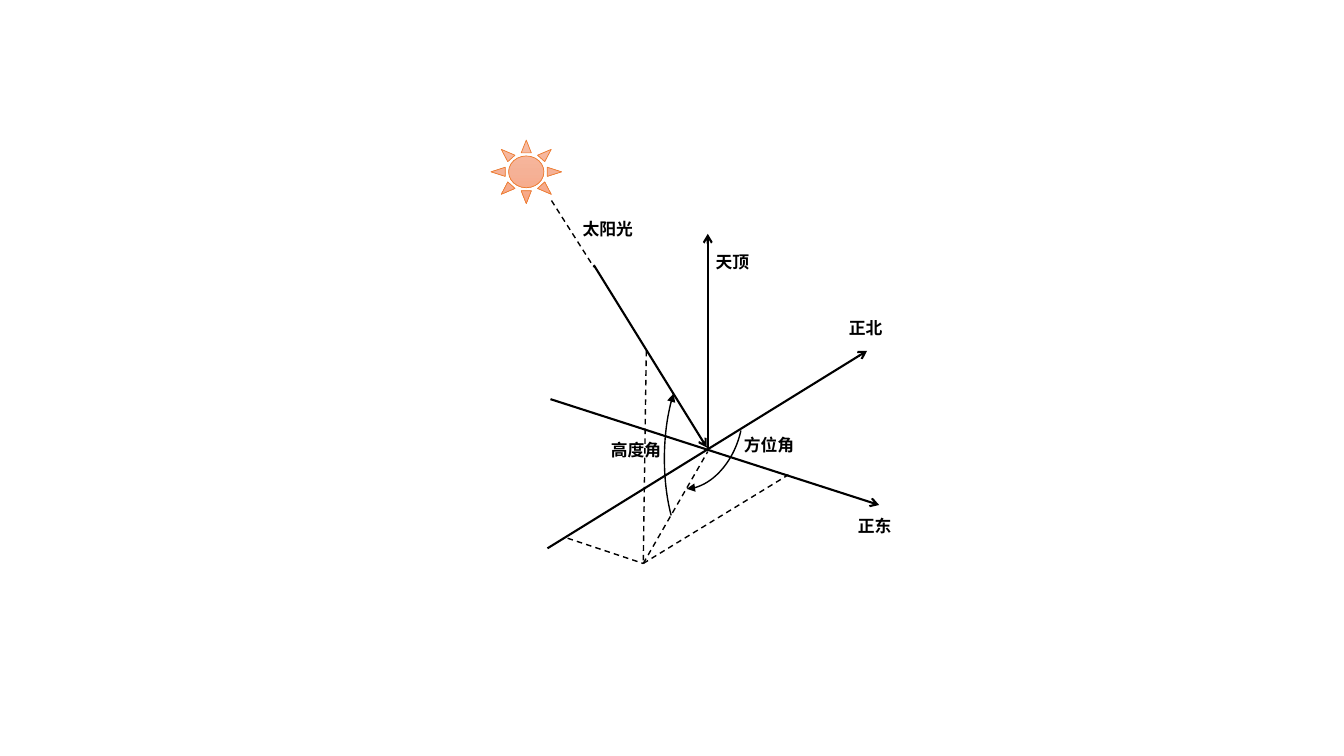
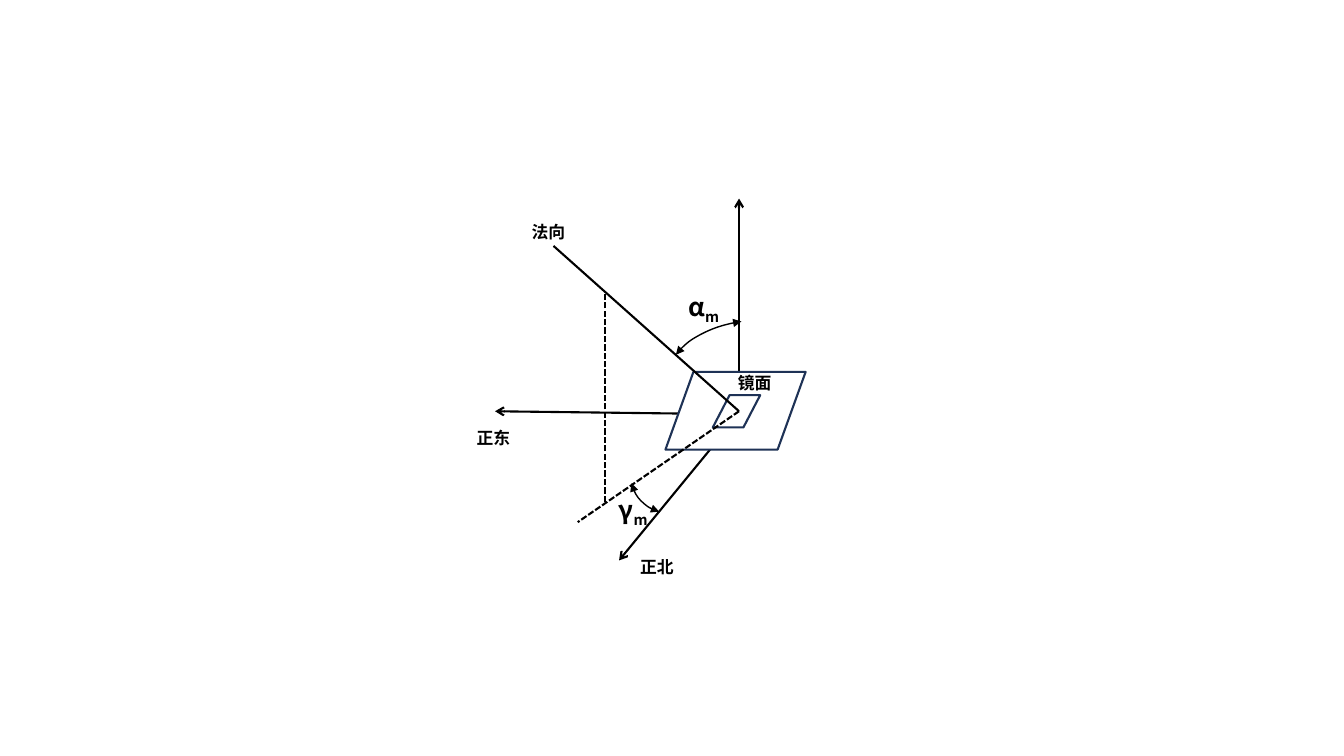
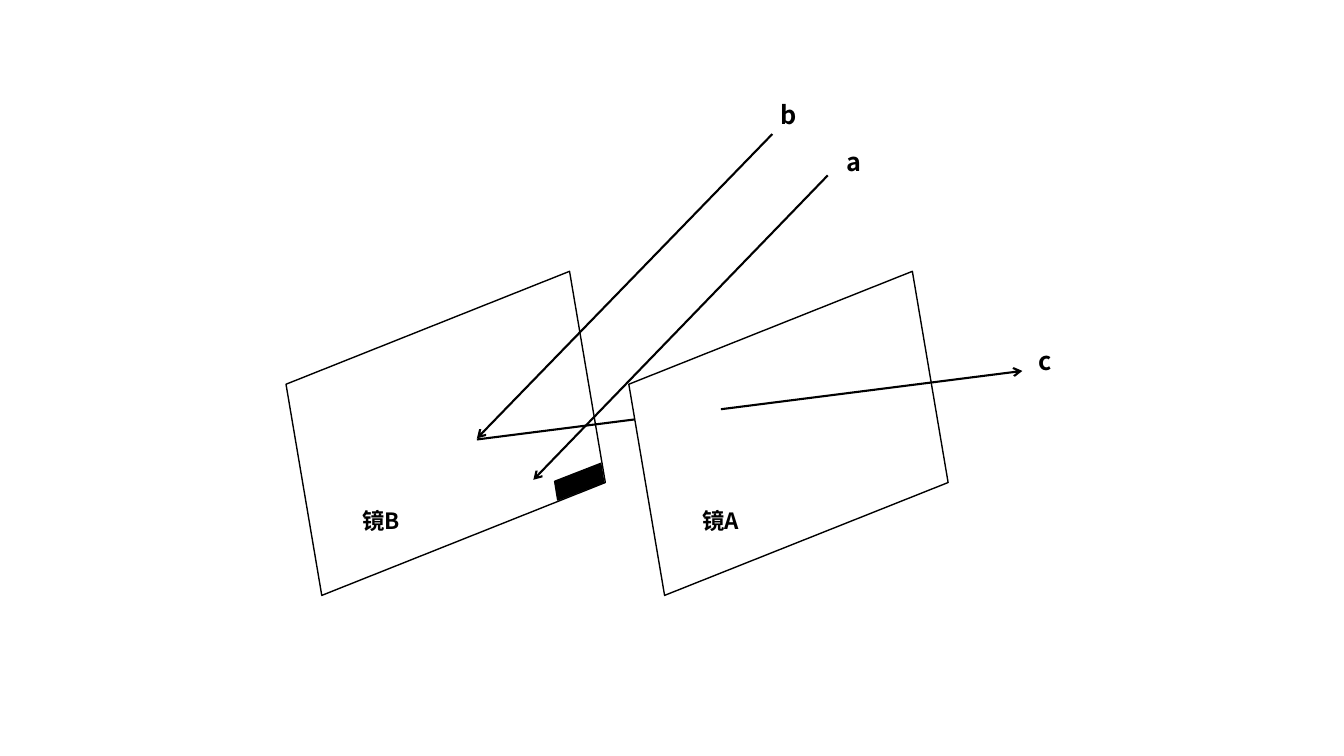
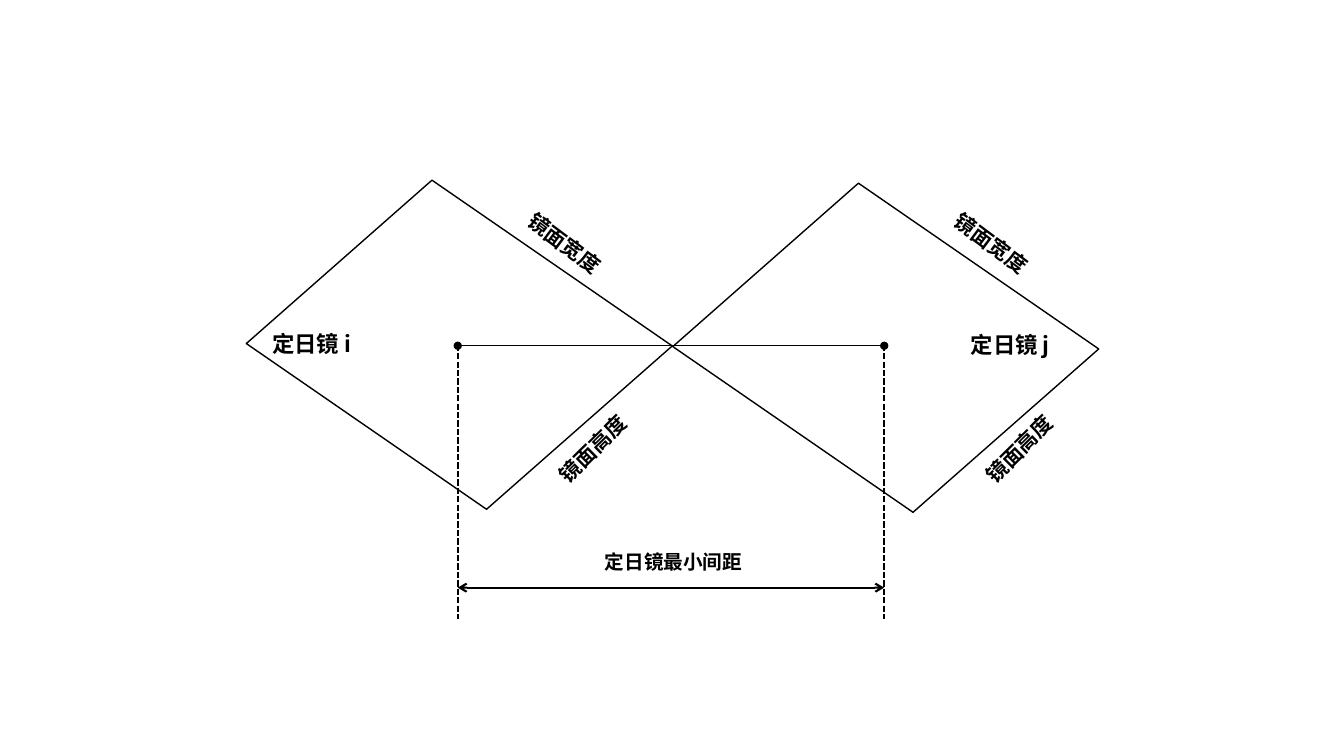
"""Build four diagrams of sun angles, mirror angles, shading and mirror spacing."""
from copy import deepcopy
from dataclasses import dataclass

from lxml.etree import SubElement
from pptx import Presentation
from pptx.dml.color import RGBColor
from pptx.enum.dml import MSO_LINE
from pptx.enum.shapes import MSO_CONNECTOR, MSO_SHAPE
from pptx.enum.text import PP_ALIGN
from pptx.oxml.ns import qn
from pptx.util import Inches, Pt

WIDTH, HEIGHT = 13.33, 7.5
FONT, LATIN_FONT = "Noto Sans CJK SC", "Calibri"
INK, NAVY, WHITE, ORANGE = "000000", "1E3256", "FFFFFF", "ED7D31"
SUN_STOPS = [(0, "F7BDA5"), (0.5, "F5B196"), (1, "F8A582")]
DASH, FINE_DASH = MSO_LINE.DASH, MSO_LINE.SQUARE_DOT


@dataclass
class Line:
    start: tuple
    end: tuple
    weight: float = 1.5
    dash: object = None
    head: str = ""
    tail: str = ""


@dataclass
class Form:
    kind: object
    box: tuple
    fill: object = None
    color: str = INK
    weight: float = 1
    turn: float = 0
    adjust: tuple = ()
    flip: bool = False
    head: str = ""
    tail: str = ""


@dataclass
class Label:
    text: str
    box: tuple
    size: int = 12
    sub: str = ""
    turn: float = 0
    centered: bool = False
    font: str = FONT


def axis(start, end):
    return Line(start, end, tail="arrow")


def dashed(start, end):
    return Line(start, end, 1, DASH)


def guide(start, end):
    return Line(start, end, dash=FINE_DASH)


def arc(box, start, end, turn=0, head=""):
    return Form(MSO_SHAPE.ARC, box, turn=turn, adjust=(start, end), head=head, tail="triangle")


def slanted(box, *adjust, **style):
    return Form(MSO_SHAPE.PARALLELOGRAM, box, adjust=adjust, **style)


def caption(text, left, top, size=16):
    return Label(text, (left, top, 1.06, 0.38), size, centered=True)


FOOT = (6.38, 5.59)
SUN_ANGLES = [
    axis((5.46, 3.96), (8.72, 5.01)),
    axis((5.43, 5.44), (8.6, 3.48)),
    axis((7.02, 4.46), (7.02, 2.32)),
    axis((5.89, 2.63), (7.01, 4.44)),
    Form(MSO_SHAPE.SUN, (4.87, 1.39, 0.7, 0.63), SUN_STOPS, ORANGE, 0.5),
    dashed(FOOT, (7.02, 4.48)),
    dashed((5.47, 1.99), (5.89, 2.65)),
    dashed((6.41, 3.48), FOOT),
    dashed((5.63, 5.34), FOOT),
    dashed(FOOT, (7.82, 4.71)),
    arc((6.59, 3.57, 0.74, 1.96), 70.96, 147.98),
    arc((6.48, 3.62, 0.86, 1.25), 206.14, 47.55, turn=20),
    Label("天顶", (7, 2.45, 0.7, 0.36)),
    Label("正北", (8.32, 3.1, 0.56, 0.29)),
    Label("正东", (8.41, 5.07, 0.56, 0.4)),
    Label("方位角", (7.28, 4.26, 0.81, 0.32)),
    Label("高度角", (5.96, 4.31, 1.01, 0.46), font=LATIN_FONT),
    Label("太阳光", (5.68, 2.12, 0.99, 0.46)),
]

CENTER, NORMAL_FOOT = (7.33, 4.11), (7.33, 4.08)
MIRROR_ANGLES = [
    *[axis(CENTER, tip) for tip in [(7.33, 1.97), (4.91, 4.08), (6.14, 5.56)]],
    slanted((6.6, 3.69, 1.39, 0.77), 0.36, fill=WHITE, color=NAVY, weight=1.5),
    slanted((7.07, 3.92, 0.47, 0.32), 0.52, fill=WHITE, color=NAVY, weight=1.5),
    Line(NORMAL_FOOT, (5.49, 2.44)),
    guide(NORMAL_FOOT, (5.73, 5.18)),
    guide((6, 4.98), (6, 2.91)),
    arc((6.25, 4.3, 0.82, 0.79), 76.55, 111.48, 340.2, "triangle"),
    arc((6.96, 2.86, 0.85, 1.51), 64.78, 111.48, 80, "triangle"),
    Label("镜面", (7.22, 3.65, 0.7, 0.36)),
    Label("正东", (4.63, 4.19, 0.56, 0.4)),
    Label("正北", (6.25, 5.47, 0.56, 0.4)),
    Label("α", (6.73, 2.84, 0.56, 0.4), 18, "m"),
    Label("γ", (6.04, 4.85, 0.56, 0.4), 18, "m"),
    caption("法向", 4.91, 2.15, 12),
]

MIRROR_B, MIRROR_A = [
    slanted((left, 2.82, 2.76, 2.96), 0.23, fill=WHITE, turn=260.4, flip=True)
    for left in (3.04, 6.44)
]
SHADING = [
    MIRROR_B,
    Line((7.56, 4), (4.73, 4.36)),
    axis((7.66, 1.33), (4.73, 4.35)),
    axis((8.21, 1.74), (5.29, 4.76)),
    slanted((5.6, 4.54, 0.29, 0.48), 0.35, fill=INK, turn=260.7, flip=True),
    MIRROR_A,
    axis((7.15, 4.06), (10.14, 3.68)),
    caption("镜B", 3.25, 4.98),
    caption("镜A", 6.62, 4.98),
    caption("b", 7.29, 0.94, 18),
    caption("a", 7.94, 1.4, 18),
    caption("c", 9.84, 3.38, 18),
]

LEFT_AXIS, PITCH = 4.54, 4.23
RIGHT_AXIS = LEFT_AXIS + PITCH
SPACING = [
    slanted((2.81, 2.23, 3.49, 2.38), fill=WHITE, turn=34.6),
    slanted((2.81 + PITCH, 2.26, 3.49, 2.38), fill=WHITE, turn=34.6),
    Line((LEFT_AXIS, 3.43), (RIGHT_AXIS, 3.43), 1, head="oval", tail="oval"),
    *[
        item
        for shift in (0, PITCH)
        for item in (
            Label("镜面宽度", (5.08 + shift, 2.25, 1.07, 0.36), 15, turn=36.7),
            Label("镜面高度", (5.36 + shift, 4.26, 1.07, 0.36), 15, turn=315.3),
            guide((LEFT_AXIS + shift, 3.42), (LEFT_AXIS + shift, 6.14)),
        )
    ],
    Line((LEFT_AXIS, 5.83), (RIGHT_AXIS, 5.83), head="arrow", tail="arrow"),
    Label("定日镜最小间距", (5.9, 5.41, 1.62, 0.34), 14),
    caption("定日镜 i", 2.56, 3.23),
    caption("定日镜 j", 9.49, 3.24),
]


def rgb(color):
    return RGBColor.from_string(color)


def lengths(values):
    return [Inches(value) for value in values]


def style_line(shape, item, color=INK):
    shape.line.color.rgb = rgb(color)
    shape.line.width = Pt(item.weight)
    outline = shape.line._get_or_add_ln()
    for tag, mark in (("a:headEnd", item.head), ("a:tailEnd", item.tail)):
        if mark:
            SubElement(outline, qn(tag), type=mark)


def draw_line(page, item):
    line = page.shapes.add_connector(MSO_CONNECTOR.STRAIGHT, *lengths(item.start + item.end))
    if item.dash:
        line.line.dash_style = item.dash
    style_line(line, item)
    SubElement(line._element.spPr, qn("a:effectLst"))


def fill_gradient(shape, stops):
    shape.fill.gradient()
    shape.fill.gradient_angle = 270
    stop_list = shape._element.spPr.find(qn("a:gradFill")).find(qn("a:gsLst"))
    stop_list.insert(1, deepcopy(stop_list[0]))
    for stop, (position, color) in zip(shape.fill.gradient_stops, stops):
        stop.position = position
        stop.color.rgb = rgb(color)


def draw_form(page, item):
    shape = page.shapes.add_shape(item.kind, *lengths(item.box))
    shape.shadow.inherit = False
    shape.rotation = item.turn
    for index, value in enumerate(item.adjust):
        shape.adjustments[index] = value
    if item.flip:
        shape._element.spPr.find(qn("a:xfrm")).set("flipV", "1")
    if item.fill is None:
        shape.fill.background()
    elif isinstance(item.fill, str):
        shape.fill.solid()
        shape.fill.fore_color.rgb = rgb(item.fill)
    else:
        fill_gradient(shape, item.fill)
    style_line(shape, item, item.color)


def add_span(para, text, item):
    span = para.add_run()
    span.text = text
    span.font.name = item.font
    span.font.size = Pt(item.size)
    span.font.bold = True
    span.font.color.rgb = rgb(INK)
    SubElement(span.font._element, qn("a:ea"), typeface=FONT)
    return span


def draw_label(page, item):
    box = page.shapes.add_textbox(*lengths(item.box))
    box.rotation = item.turn
    box.text_frame.word_wrap = True
    para = box.text_frame.paragraphs[0]
    para.alignment = PP_ALIGN.CENTER if item.centered else PP_ALIGN.LEFT
    add_span(para, item.text, item)
    if item.sub:
        add_span(para, item.sub, item).font._element.set("baseline", "-25000")


DRAWERS = {Line: draw_line, Form: draw_form, Label: draw_label}


def main():
    deck = Presentation()
    deck.slide_width, deck.slide_height = lengths((WIDTH, HEIGHT))
    for items in (SUN_ANGLES, MIRROR_ANGLES, SHADING, SPACING):
        page = deck.slides.add_slide(deck.slide_layouts[6])
        for item in items:
            DRAWERS[type(item)](page, item)
    deck.save("out.pptx")


if __name__ == "__main__":
    main()
